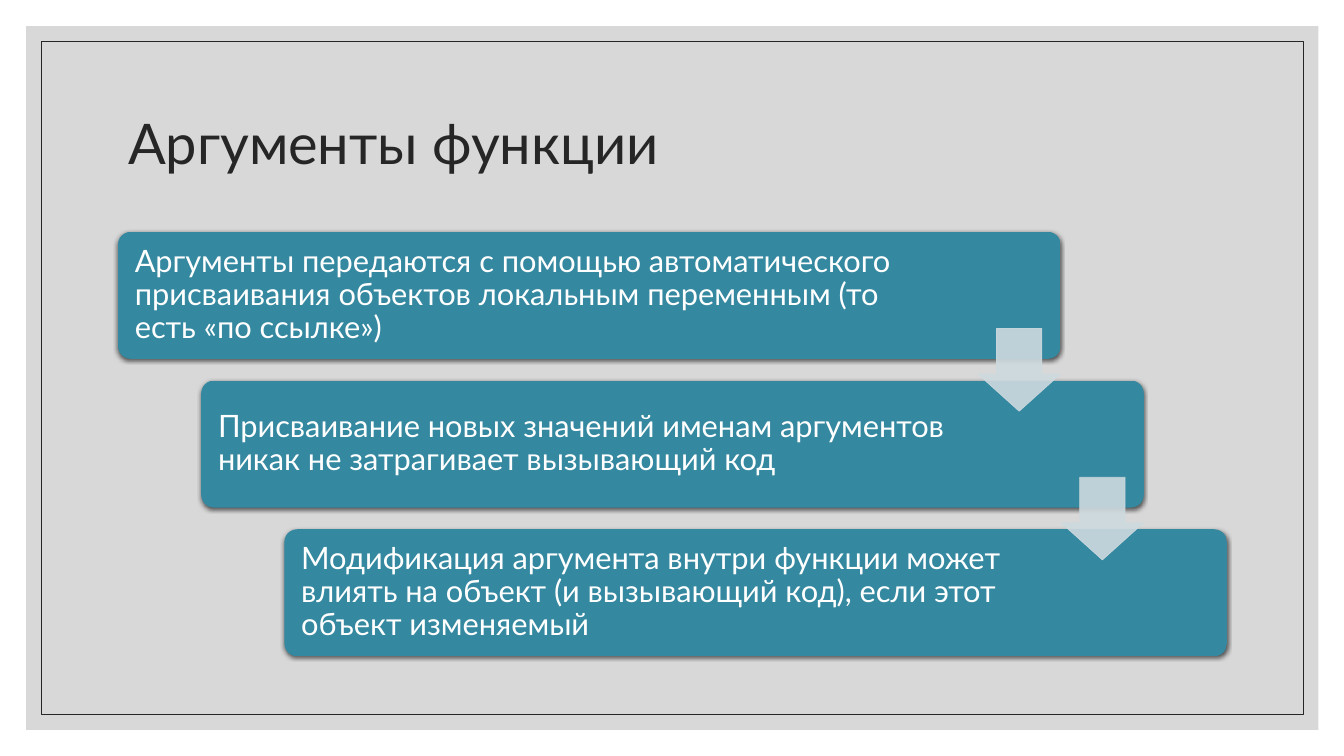
from dataclasses import dataclass

from pptx import Presentation
from pptx.dml.color import RGBColor
from pptx.dml.fill import FillFormat
from pptx.enum.shapes import MSO_SHAPE
from pptx.enum.text import MSO_ANCHOR, PP_ALIGN
from pptx.oxml import parse_xml
from pptx.oxml.ns import nsdecls, qn
from pptx.shapes.autoshape import Shape
from pptx.slide import Slide
from pptx.text.text import TextFrame
from pptx.util import Inches, Pt

SLIDE_WIDTH, SLIDE_HEIGHT = Inches(13.33), Inches(7.5)


@dataclass(frozen=True)
class Theme:
    """Colours, font and type sizes of the slide."""

    panel: str = "BFBFBF"
    ink: str = "262626"
    step_top: str = "3488A0"
    step_bottom: str = "3188A1"
    step_text: str = "FFFFFF"
    arrow: str = "CEDADF"
    font: str = "Lato"
    title_size: float = 40
    step_size: float = 22
    hairline: float = 0.5


@dataclass(frozen=True)
class Box:
    """A rectangle in percent of the slide's width and height."""

    left: float
    top: float
    width: float
    height: float

    def shifted(self, right: float, down: float) -> "Box":
        """Return the same rectangle moved by the given percentages."""
        return Box(self.left + right, self.top + down, self.width, self.height)

    def lengths(self) -> tuple[int, int, int, int]:
        """Return left, top, width and height in slide units."""
        return (
            int(SLIDE_WIDTH * self.left / 100),
            int(SLIDE_HEIGHT * self.top / 100),
            int(SLIDE_WIDTH * self.width / 100),
            int(SLIDE_HEIGHT * self.height / 100),
        )


THEME = Theme()
PANEL = Box(1.95, 3.47, 96.15, 93.07)
FRAME = Box(3.08, 5.47, 93.9, 89.07)
TITLE = Box(8.78, 9.33, 82.5, 20)
FIRST_STEP = Box(8.78, 30.67, 70.13, 16.8)
FIRST_ARROW = Box(72.76, 43.47, 6.15, 10.93)
STAIR_RIGHT, STAIR_DOWN = 6.19, 19.67
STEPS = (
    "Аргументы передаются с помощью автоматического присваивания объектов "
    "локальным переменным (то есть «по ссылке»)",
    "Присваивание новых значений именам аргументов никак не затрагивает вызывающий код",
    "Модификация аргумента внутри функции может влиять на объект "
    "(и вызывающий код), если этот объект изменяемый",
)


def color(value: str) -> RGBColor:
    """Turn a hexadecimal value into a colour."""
    return RGBColor.from_string(value)


def fill_solid(fill: FillFormat, value: str) -> None:
    """Fill with one colour."""
    fill.solid()
    fill.fore_color.rgb = color(value)


def set_opacity(shape: Shape, percent: int) -> None:
    """Make every solid colour of the shape partly transparent."""
    for element in shape.element.spPr.iter(qn("a:srgbClr")):
        element.append(parse_xml(f'<a:alpha {nsdecls("a")} val="{percent * 1000}"/>'))


def add_preset(slide: Slide, preset: MSO_SHAPE, box: Box) -> Shape:
    """Add a preset shape without fill, line or shadow."""
    shape = slide.shapes.add_shape(preset, *box.lengths())
    shape.shadow.inherit = False
    shape.fill.background()
    shape.line.fill.background()
    return shape


def set_text(text_frame: TextFrame, text: str, size: float, value: str) -> None:
    """Write one left-aligned, vertically centred paragraph."""
    text_frame.text = text
    text_frame.word_wrap = True
    text_frame.vertical_anchor = MSO_ANCHOR.MIDDLE
    paragraph = text_frame.paragraphs[0]
    paragraph.alignment = PP_ALIGN.LEFT
    paragraph.line_spacing = 0.9
    font = paragraph.runs[0].font
    font.name, font.size = THEME.font, Pt(size)
    font.color.rgb = color(value)


def add_backdrop(slide: Slide) -> None:
    """Add the grey panel and its thin inner frame."""
    panel = add_preset(slide, MSO_SHAPE.RECTANGLE, PANEL)
    fill_solid(panel.fill, THEME.panel)
    set_opacity(panel, 60)
    frame = add_preset(slide, MSO_SHAPE.RECTANGLE, FRAME)
    fill_solid(frame.line.fill, THEME.ink)
    frame.line.width = Pt(THEME.hairline)


def add_title(slide: Slide, text: str) -> None:
    """Place the title placeholder in front of the backdrop."""
    title = slide.shapes.title
    title.left, title.top, title.width, title.height = TITLE.lengths()
    set_text(title.text_frame, text, THEME.title_size, THEME.ink)
    title.element.getparent().append(title.element)


def add_step(slide: Slide, text: str, box: Box) -> None:
    """Add a rounded step with a gradient, a soft shadow and its text."""
    step = add_preset(slide, MSO_SHAPE.ROUNDED_RECTANGLE, box)
    step.adjustments[0] = 0.1
    step.fill.gradient()
    step.fill.gradient_angle = 270
    for stop, value in zip(step.fill.gradient_stops, (THEME.step_top, THEME.step_bottom)):
        stop.color.rgb = color(value)
    step.element.spPr.find(qn("a:effectLst")).append(parse_xml(
        f'<a:outerShdw {nsdecls("a")} blurRad="{Pt(3)}" dist="{Pt(1)}" dir="5400000" '
        'algn="ctr" rotWithShape="0"><a:srgbClr val="000000"><a:alpha val="63000"/>'
        "</a:srgbClr></a:outerShdw>"
    ))
    set_text(step.text_frame, text, THEME.step_size, THEME.step_text)
    step.text_frame.margin_left = Inches(0.13)
    step.text_frame.margin_right = Inches(1.42)


def add_arrow(slide: Slide, box: Box) -> None:
    """Add a pale arrow leading down to the next step."""
    arrow = add_preset(slide, MSO_SHAPE.DOWN_ARROW, box)
    arrow.adjustments[0], arrow.adjustments[1] = 0.55, 0.45
    fill_solid(arrow.fill, THEME.arrow)
    fill_solid(arrow.line.fill, THEME.arrow)
    arrow.line.width = Pt(THEME.hairline)
    set_opacity(arrow, 90)


def main() -> None:
    """Build and save the slide."""
    presentation = Presentation()
    presentation.slide_width, presentation.slide_height = SLIDE_WIDTH, SLIDE_HEIGHT
    slide = presentation.slides.add_slide(presentation.slide_layouts.get_by_name("Title Only"))
    add_backdrop(slide)
    add_title(slide, "Аргументы функции")
    for index, text in enumerate(STEPS):
        add_step(slide, text, FIRST_STEP.shifted(index * STAIR_RIGHT, index * STAIR_DOWN))
    for index in range(len(STEPS) - 1):
        add_arrow(slide, FIRST_ARROW.shifted(index * STAIR_RIGHT, index * STAIR_DOWN))
    presentation.save("out.pptx")


main()
